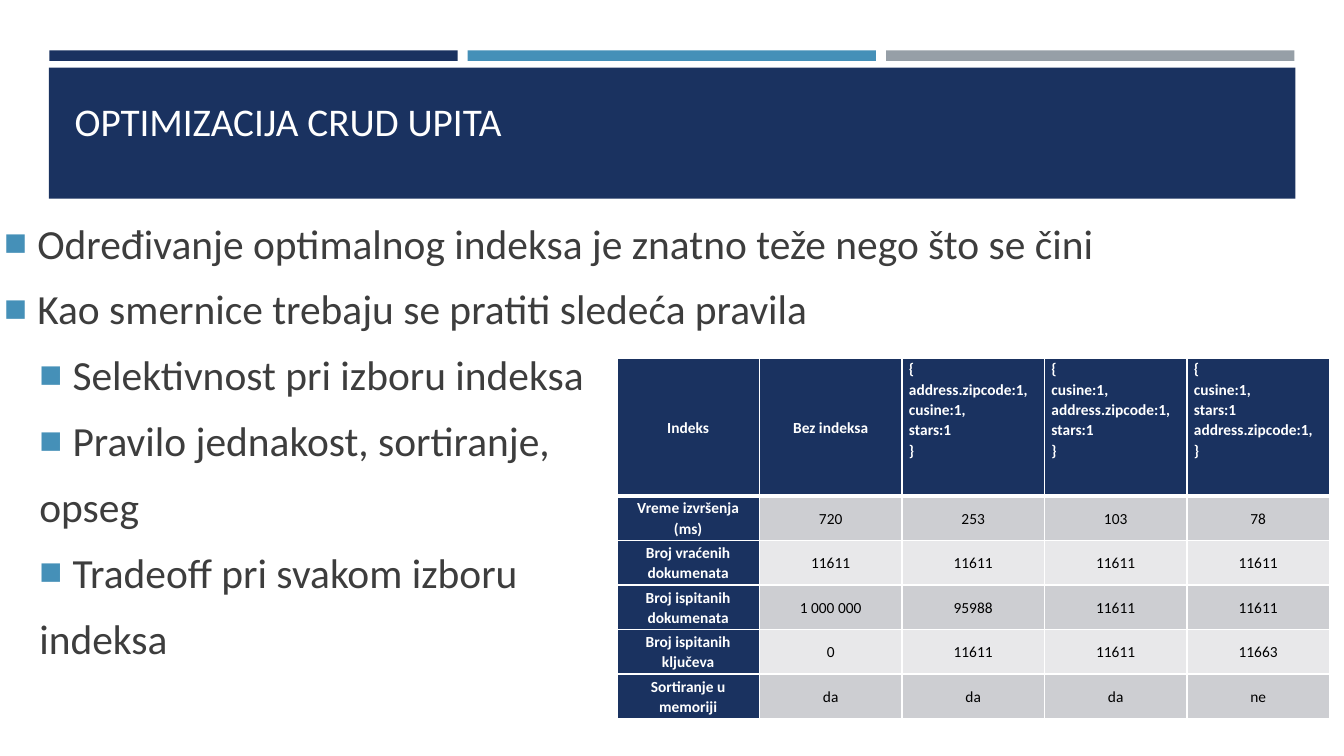
from dataclasses import dataclass

from lxml import etree
from pptx import Presentation
from pptx import util as u
from pptx.dml.color import RGBColor
from pptx.enum import shapes, text
from pptx.oxml import ns

# Grid of 0.1 inch columns and rows
UNIT = 0.1
SLIDE_COLS, SLIDE_ROWS = 133.33, 75
FONT = "Calibri"
COLORS = {
    "navy": "1A3260", "blue": "4590B8", "gray": "969FA7", "white": "FFFFFF",
    "ink": "3D3D3D", "black": "000000", "dark_row": "CDCED2", "light_row": "E8E8EA",
}


@dataclass(frozen=True)
class Box:
    col: float
    row: float
    cols: float
    rows: float
    color: str = "navy"


@dataclass(frozen=True)
class Point:
    words: str
    level: int = 0
    bullet: bool = True


BAND_STEP = 41.5
BANDS = [Box(4.9 + i * BAND_STEP, 5, 40.5, 1.05, color)
         for i, color in enumerate(("navy", "blue", "gray"))]
TITLE_PANEL = Box(4.85, 6.7, 123.65, 13)
TITLE_BOX = Box(6.4, 3.7, 120.6, 11.1)
POINTS_BOX = Box(-0.6, 21.1, 134.6, 40.9)
TABLE_BOX = Box(61.2, 35.6, 70.7, 35.7)
HEADER_ROWS = 13.6

POINTS = [
    Point("Određivanje optimalnog indeksa je znatno teže nego što se čini"),
    Point("Kao smernice trebaju se pratiti sledeća pravila"),
    Point("Selektivnost pri izboru indeksa", 1),
    Point("Pravilo jednakost, sortiranje,", 1),
    Point("opseg", 1, False),
    Point("Tradeoff pri svakom izboru", 1),
    Point("indeksa", 1, False),
]
RESULTS = [
    ["Indeks", "Bez indeksa",
     "{\naddress.zipcode:1,\ncusine:1,\nstars:1\n}",
     "{\ncusine:1,\naddress.zipcode:1,\nstars:1\n}",
     "{\ncusine:1,\nstars:1\naddress.zipcode:1,\n}"],
    ["Vreme izvršenja (ms)", "720", "253", "103", "78"],
    ["Broj vraćenih dokumenata", "11611", "11611", "11611", "11611"],
    ["Broj ispitanih dokumenata", "1 000 000", "95988", "11611", "11611"],
    ["Broj ispitanih ključeva", "0", "11611", "11611", "11663"],
    ["Sortiranje u memoriji", "da", "da", "da", "ne"],
]


def grid(units: float) -> u.Length:
    return u.Inches(units * UNIT)


def frame(box: Box) -> tuple:
    return grid(box.col), grid(box.row), grid(box.cols), grid(box.rows)


def rgb(name: str) -> RGBColor:
    return RGBColor.from_string(COLORS[name])


def add_child(parent, tag: str, **attributes: str):
    return etree.SubElement(parent, ns.qn(tag), attributes)


def format_runs(paragraph, size: float, color: str, bold: bool = False) -> None:
    for run in paragraph.runs:
        run.font.name, run.font.size, run.font.bold = FONT, u.Pt(size), bold
        run.font.color.rgb = rgb(color)


def place(placeholder, box: Box, anchor) -> None:
    placeholder.left, placeholder.top, placeholder.width, placeholder.height = frame(box)
    words = placeholder.text_frame
    words.word_wrap, words.auto_size = True, text.MSO_AUTO_SIZE.NONE
    words.vertical_anchor = anchor


def draw_panel(slide, box: Box) -> None:
    panel = slide.shapes.add_shape(shapes.MSO_SHAPE.RECTANGLE, *frame(box))
    panel.shadow.inherit = False
    panel.fill.solid()
    panel.fill.fore_color.rgb = rgb(box.color)
    panel.line.fill.background()


def write_point(paragraph, point: Point) -> None:
    paragraph.text, paragraph.level = point.words, point.level
    paragraph.alignment = text.PP_ALIGN.LEFT
    paragraph.space_before, paragraph.space_after = u.Pt(5.5), u.Pt(6)
    format_runs(paragraph, 29.6, "ink")
    hanging = 3.3 if point.bullet else 0
    properties = paragraph._p.get_or_add_pPr()
    properties.set("marL", str(grid(3.5 * point.level + hanging)))
    properties.set("indent", str(-grid(hanging)))
    if point.bullet:
        color = add_child(properties, "a:buClr")
        add_child(color, "a:srgbClr", val=COLORS["blue"])
        add_child(properties, "a:buSzPct", val="92000")
        add_child(properties, "a:buChar", char="■")
    else:
        add_child(properties, "a:buNone")


def draw_borders(cell, bottom: float) -> None:
    properties = cell._tc.get_or_add_tcPr()
    widths = {"a:lnL": 1, "a:lnR": 1, "a:lnT": 1, "a:lnB": bottom}
    for place_in_order, (side, width) in enumerate(widths.items()):
        border = add_child(properties, side, w=str(u.Pt(width)))
        fill = add_child(border, "a:solidFill")
        add_child(fill, "a:srgbClr", val=COLORS["white"])
        properties.insert(place_in_order, border)


def write_cell(cell, words: str, row: int, col: int) -> None:
    is_label = row == 0 or col == 0
    is_index = row == 0 and col > 1
    cell.text_frame.text = words
    cell.margin_left = cell.margin_right = grid(0.7)
    cell.margin_top = cell.margin_bottom = 0
    cell.vertical_anchor = text.MSO_ANCHOR.TOP if is_index else text.MSO_ANCHOR.MIDDLE
    for paragraph in cell.text_frame.paragraphs:
        paragraph.alignment = text.PP_ALIGN.JUSTIFY if is_index else text.PP_ALIGN.CENTER
        paragraph.line_spacing = 1.07
        format_runs(paragraph, 11, "white" if is_label else "black", is_label)
    cell.fill.solid()
    stripe = "dark_row" if row % 2 else "light_row"
    cell.fill.fore_color.rgb = rgb("navy" if is_label else stripe)
    draw_borders(cell, 3 if row == 0 else 1)


def draw_results(slide) -> None:
    row_count, col_count = len(RESULTS), len(RESULTS[0])
    results = slide.shapes.add_table(row_count, col_count, *frame(TABLE_BOX)).table
    for column in results.columns:
        column.width = grid(TABLE_BOX.cols / col_count)
    for row, values in enumerate(RESULTS):
        body_rows = (TABLE_BOX.rows - HEADER_ROWS) / (row_count - 1)
        results.rows[row].height = grid(body_rows if row else HEADER_ROWS)
        for col, words in enumerate(values):
            write_cell(results.cell(row, col), words, row, col)


def main() -> None:
    deck = Presentation()
    deck.slide_width, deck.slide_height = grid(SLIDE_COLS), grid(SLIDE_ROWS)
    slide = deck.slides.add_slide(deck.slide_layouts[1])
    title, points = slide.placeholders

    # Header bands and title panel
    for box in [*BANDS, TITLE_PANEL]:
        draw_panel(slide, box)

    # Title, raised above its panel
    place(title, TITLE_BOX, text.MSO_ANCHOR.BOTTOM)
    title.text_frame.text = "OPTIMIZACIJA CRUD UPITA"
    title.text_frame.paragraphs[0].alignment = text.PP_ALIGN.LEFT
    format_runs(title.text_frame.paragraphs[0], 28, "white")
    slide.shapes._spTree.append(title._element)

    # Guidelines
    place(points, POINTS_BOX, text.MSO_ANCHOR.TOP)
    points.text_frame.text = "\n".join(point.words for point in POINTS)
    for paragraph, point in zip(points.text_frame.paragraphs, POINTS):
        write_point(paragraph, point)
    slide.shapes._spTree.append(points._element)

    # Index comparison
    draw_results(slide)
    deck.save("out.pptx")


if __name__ == "__main__":
    main()
